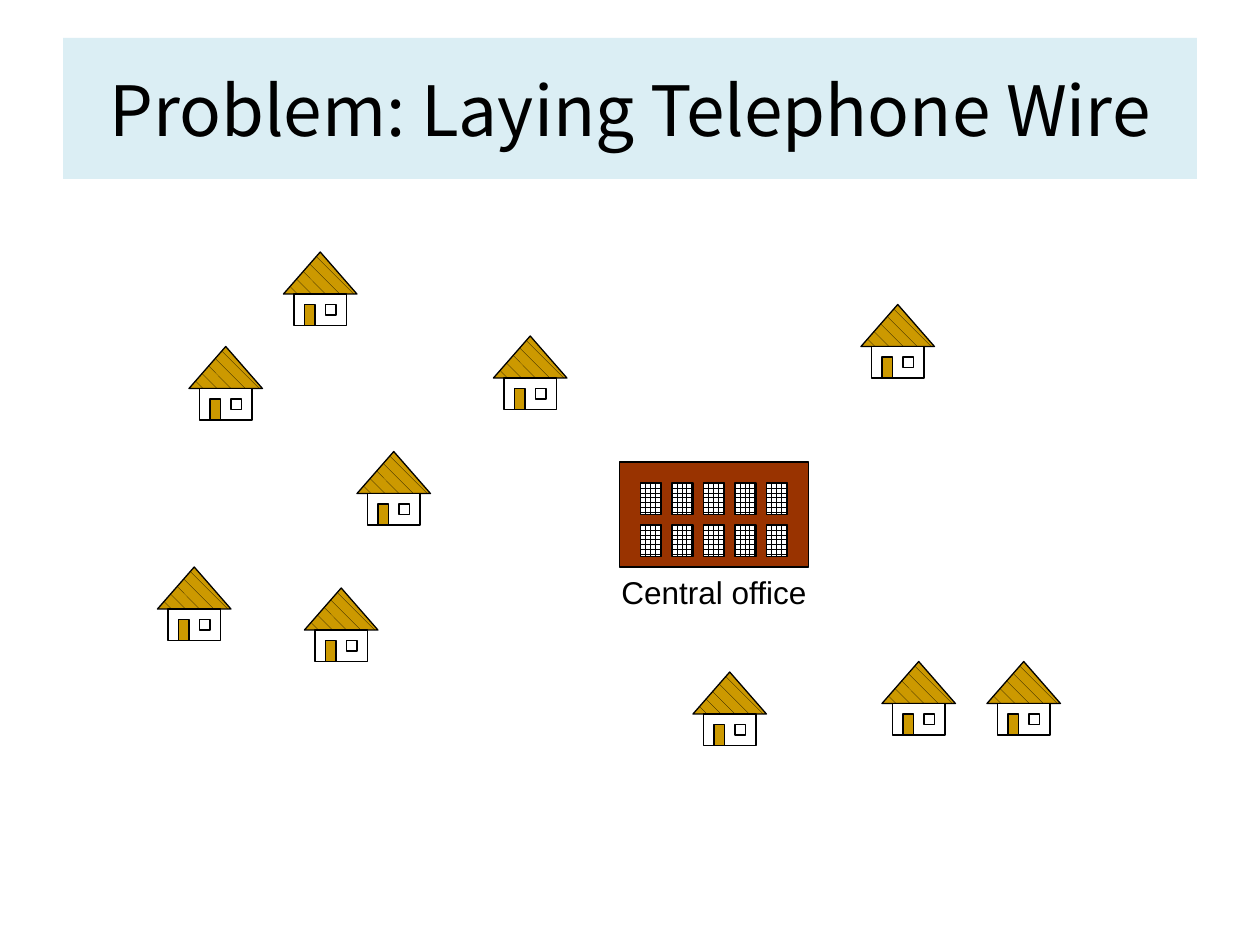
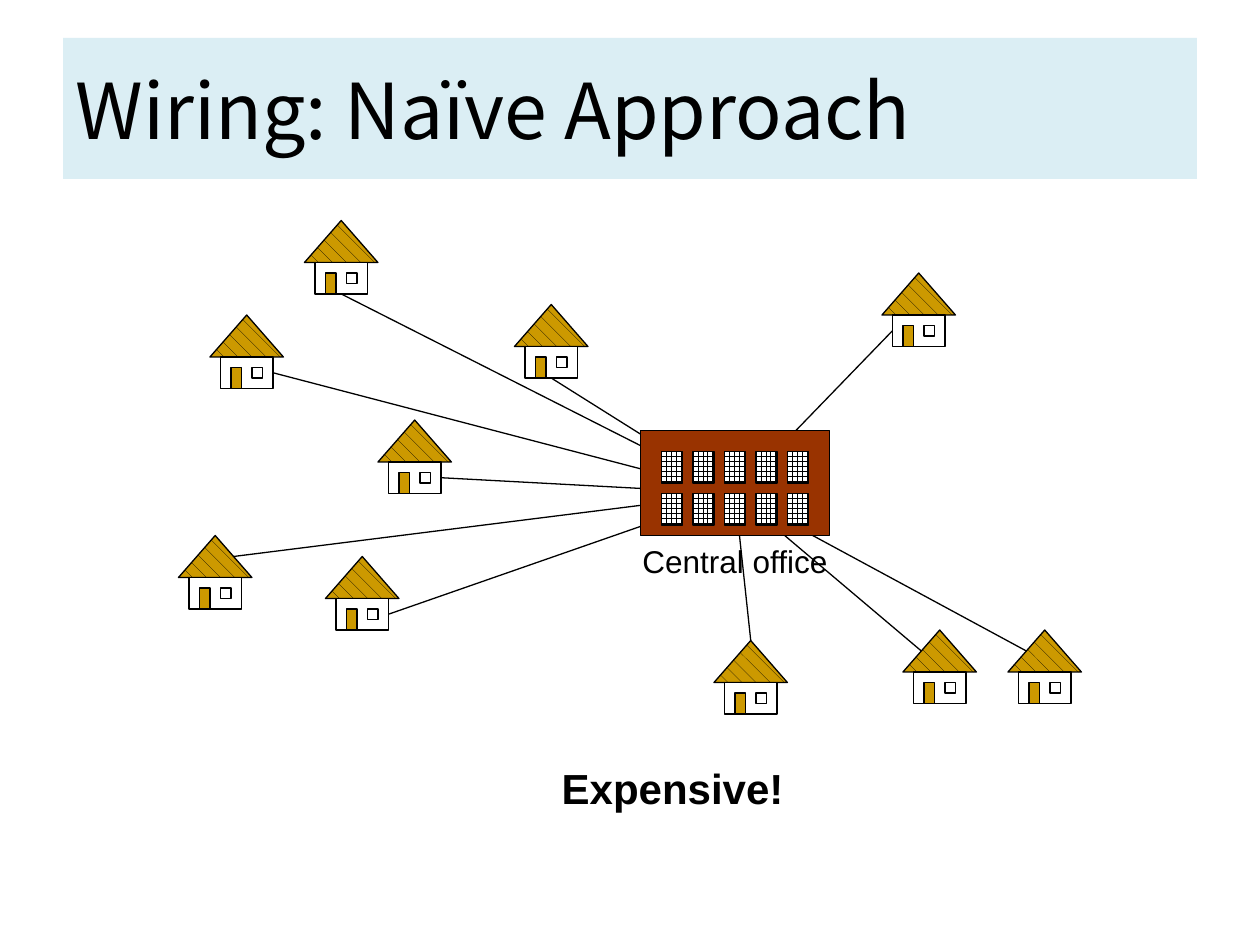
from itertools import product

from lxml import etree
from pptx import Presentation
from pptx import util as u
from pptx.dml.color import RGBColor
from pptx.enum import dml, shapes, text
from pptx.oxml.ns import qn

CELL = u.Inches(1) / 12
BLACK, WHITE, BAND, GOLD, BRICK = "000000", "FFFFFF", "DBEEF4", "CC9900", "993300"
TITLE_FONT, BODY_FONT = "Noto Sans CJK KR", "Arial"

HOUSES = [(15, 54), (66, 64), (47, 32), (82, 29), (34, 43),
          (18, 33), (27, 24), (29, 56), (94, 63), (84, 63)]
OFFICE = (59, 44)
HUB = (9, 6)
LEFT, BOTTOM, RIGHT = 1, 2, 3
ROOF_POINTS = {"top": (3.5, 0), "left": (1.75, 2), "right": (5.25, 2)}
WIRE_ENDS = ["right", "top", BOTTOM, LEFT, RIGHT,
             RIGHT, BOTTOM, RIGHT, "left", "left"]

SLIDES = [
    dict(title="Problem: Laying Telephone Wire", size=39.6,
         align=text.PP_ALIGN.CENTER, shift=(0, 0), wired=False, remark=None),
    dict(title="Wiring: Naïve Approach", size=44,
         align=text.PP_ALIGN.LEFT, shift=(2, -3), wired=True, remark="Expensive!"),
]


def color(value):
    return RGBColor.from_string(value)


def cells(*values):
    return [u.Emu(round(v * CELL)) for v in values]


def moved(point, offset):
    return point[0] + offset[0], point[1] + offset[1]


def style_text(p, size, font, bold=False):
    p.font.size, p.font.name, p.font.bold = u.Pt(size), font, bold
    p.font.color.rgb = color(BLACK)


def add_part(group, origin, box, fill=None, pattern=None,
             kind=shapes.MSO_SHAPE.RECTANGLE):
    sp = group.shapes.add_shape(kind, *cells(*moved(origin, box[:2]), *box[2:]))
    sp.shadow.inherit = False
    sp.line.color.rgb = color(BLACK)
    sp.line.width = u.Pt(0.75)
    if pattern:
        sp.fill.patterned()
        sp.fill.pattern = pattern
        sp.fill.fore_color.rgb = color(BLACK)
        sp.fill.back_color.rgb = color(fill)
    elif fill:
        sp.fill.solid()
        sp.fill.fore_color.rgb = color(fill)
    else:
        sp.fill.background()
    return sp


def add_house(s, origin):
    group = s.shapes.add_group_shape()
    add_part(group, origin, (0, 0, 7, 4), GOLD, dml.MSO_PATTERN.SHINGLE,
             shapes.MSO_SHAPE.ISOSCELES_TRIANGLE)
    wall = add_part(group, origin, (1, 4, 5, 3), WHITE)
    add_part(group, origin, (2, 5, 1, 2), GOLD)
    add_part(group, origin, (4, 5, 1, 1))
    return wall


def add_office(s, origin):
    group = s.shapes.add_group_shape()
    add_part(group, origin, (0, 0, 18, 10), BRICK)
    for row, col in product(range(2), range(5)):
        add_part(group, origin, (2 + 3 * col, 2 + 4 * row, 2, 3), WHITE,
                 dml.MSO_PATTERN.LARGE_GRID)


def add_wire(s, hub, house, wall, end):
    target = moved(house, ROOF_POINTS.get(end, (0, 0)))
    wire = s.shapes.add_connector(shapes.MSO_CONNECTOR.STRAIGHT,
                                  *cells(*hub, *target))
    if end not in ROOF_POINTS:
        wire.end_connect(wall, end)
    wire.line.color.rgb = color(BLACK)
    wire.line.width = u.Pt(0.75)
    etree.SubElement(wire._element.spPr, qn("a:effectLst"))


def add_label(s, words, box, size, bold=False, wrap=False):
    tf = s.shapes.add_textbox(*box).text_frame
    tf.word_wrap = wrap
    tf.text = words
    style_text(tf.paragraphs[0], size, BODY_FONT, bold)


def add_title(s, words, size, align):
    title = s.shapes.title
    title.left, title.top = u.Inches(0.5), u.Inches(0.3)
    title.width, title.height = u.Inches(9), u.Inches(1.12)
    title.fill.solid()
    title.fill.fore_color.rgb = color(BAND)
    tf = title.text_frame
    tf.text = words
    tf.auto_size = text.MSO_AUTO_SIZE.NONE
    tf.vertical_anchor = text.MSO_ANCHOR.MIDDLE
    p = tf.paragraphs[0]
    p.alignment = align
    style_text(p, size, TITLE_FONT)


def build_slide(prs, title, size, align, shift, wired, remark):
    s = prs.slides.add_slide(prs.slide_layouts[5])
    add_title(s, title, size, align)
    houses = [moved(house, shift) for house in HOUSES]
    office = moved(OFFICE, shift)
    walls = [add_house(s, house) for house in houses]
    if wired:
        for house, wall, end in zip(houses, walls, WIRE_ENDS):
            add_wire(s, moved(office, HUB), house, wall, end)
    add_office(s, office)
    add_label(s, "Central office", cells(*moved(office, (-1, 10)), 20, 4.8), 18)
    if remark:
        box = [u.Inches(v) for v in (4.36, 6, 2.08, 0.5)]
        add_label(s, remark, box, 24, bold=True, wrap=True)


def main():
    prs = Presentation()
    prs.slide_width, prs.slide_height = u.Inches(10), u.Inches(7.5)
    for content in SLIDES:
        build_slide(prs, **content)
    prs.save("out.pptx")


if __name__ == "__main__":
    main()
